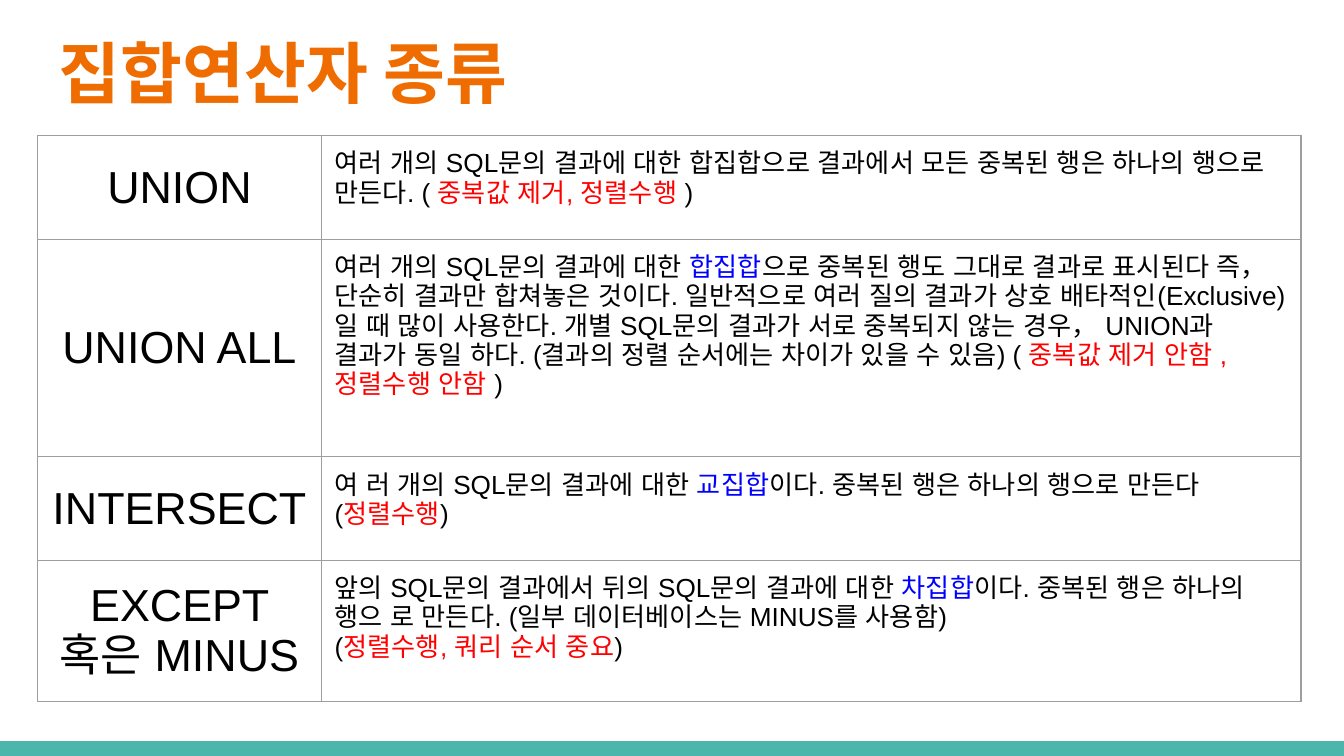
from lxml import etree
from pptx import Presentation
from pptx.dml.color import RGBColor
from pptx.enum.shapes import MSO_SHAPE
from pptx.enum.text import MSO_ANCHOR, PP_ALIGN
from pptx.oxml.ns import qn
from pptx.util import Inches, Pt

COLORS = {
    "title": "EF6C00",
    "footer": "4DB6AC",
    "border": "9E9E9E",
    "text": "000000",
    "set": "0000FF",
    "note": "FF0000",
}
TITLE = "집합연산자 종류"
BREAK = ("\n", "text")
OPERATORS = [
    ("UNION", 0.77, [[
        ("여러 개의 SQL문의 결과에 대한 합집합으로 결과에서 모든 중복된 행은 하나의 행으로 만든다. ( ", "text"),
        ("중복값 제거, 정렬수행", "note"),
        (" )", "text"),
    ]]),
    ("UNION ALL", 1.62, [[
        ("여러 개의 SQL문의 결과에 대한 ", "text"),
        ("합집합", "set"),
        ("으로 중복된 행도 그대로 결과로 표시된다 즉， 단순히 결과만 합쳐놓은 것이다. "
         "일반적으로 여러 질의 결과가 상호 배타적인(Exclusive)일 때 많이 사용한다. "
         "개별 SQL문의 결과가 서로 중복되지 않는 경우， UNION과 결과가 동일 하다. "
         "(결과의 정렬 순서에는 차이가 있을 수 있음) ( ", "text"),
        ("중복값 제거 안함 , 정렬수행 안함", "note"),
        (" )", "text"),
    ]]),
    ("INTERSECT", 0.77, [[
        ("여 러 개의 SQL문의 결과에 대한 ", "text"),
        ("교집합", "set"),
        ("이다. 중복된 행은 하나의 행으로 만든다", "text"),
        BREAK,
        ("(", "text"),
        ("정렬수행", "note"),
        (")", "text"),
    ]]),
    ("EXCEPT 혹은 MINUS", 1.05, [
        [
            ("앞의 SQL문의 결과에서 뒤의 SQL문의 결과에 대한 ", "text"),
            ("차집합", "set"),
            ("이다. 중복된 행은 하나의 행으 로 만든다. (일부 데이터베이스는 MINUS를 사용함)", "text"),
        ],
        [
            ("(", "text"),
            ("정렬수행, 쿼리 순서 중요", "note"),
            (")", "text"),
        ],
    ]),
]
COLUMN_WIDTHS = [2.11, 7.29]
PADDING = Inches(0.1)


def color(name):
    return RGBColor.from_string(COLORS[name])


def pad(area):
    area.margin_left = area.margin_right = PADDING
    area.margin_top = area.margin_bottom = PADDING


def style(paragraph, size, font="Arial"):
    paragraph.font.size = Pt(size)
    paragraph.font.name = font
    latin = paragraph._p.find(".//" + qn("a:latin"))
    east_asian = etree.Element(qn("a:ea"), typeface=font)
    latin.addnext(east_asian)
    east_asian.addnext(etree.Element(qn("a:cs"), typeface=font))


def add_border(cell):
    properties = cell._tc.get_or_add_tcPr()
    for position, side in enumerate(("lnL", "lnR", "lnT", "lnB")):
        line = etree.Element(qn(f"a:{side}"), w=str(Pt(0.75)))
        fill = etree.SubElement(line, qn("a:solidFill"))
        etree.SubElement(fill, qn("a:srgbClr"), val=COLORS["border"])
        properties.insert(position, line)


def write_name(cell, name):
    cell.vertical_anchor = MSO_ANCHOR.MIDDLE
    cell.text = name
    paragraph = cell.text_frame.paragraphs[0]
    paragraph.alignment = PP_ALIGN.CENTER
    style(paragraph, 24)
    paragraph.font.color.rgb = color("text")


def write_description(cell, paragraphs):
    frame = cell.text_frame
    for index, parts in enumerate(paragraphs):
        paragraph = frame.add_paragraph() if index else frame.paragraphs[0]
        style(paragraph, 14)
        for part in parts:
            if part == BREAK:
                paragraph.add_line_break()
                continue
            text, color_name = part
            run = paragraph.add_run()
            run.text = text
            run.font.color.rgb = color(color_name)


deck = Presentation()
deck.slide_width = Inches(10)
deck.slide_height = Inches(10 * 9 / 16)
slide = deck.slides.add_slide(deck.slide_layouts[6])

footer_height = Inches(0.11)
footer = slide.shapes.add_shape(
    MSO_SHAPE.RECTANGLE, 0, deck.slide_height - footer_height,
    deck.slide_width, footer_height)
footer.shadow.inherit = False
footer.fill.solid()
footer.fill.fore_color.rgb = color("footer")
footer.line.fill.background()

title = slide.shapes.add_textbox(
    Inches(0.34), Inches(0.15), Inches(9.32), Inches(0.77)).text_frame
title.word_wrap = True
title.vertical_anchor = MSO_ANCHOR.MIDDLE
pad(title)
title.text = TITLE
heading = title.paragraphs[0]
style(heading, 36, "Roboto Condensed")
heading.font.bold = True
heading.font.color.rgb = color("title")

operators = slide.shapes.add_table(
    len(OPERATORS), len(COLUMN_WIDTHS), Inches(0.28), Inches(1.01),
    Inches(sum(COLUMN_WIDTHS)), Inches(sum(height for _, height, _ in OPERATORS))).table
operators.first_row = operators.horz_banding = False
for column, width in zip(operators.columns, COLUMN_WIDTHS):
    column.width = Inches(width)
for row, (name, height, description) in zip(operators.rows, OPERATORS):
    row.height = Inches(height)
    for cell in row.cells:
        pad(cell)
        cell.fill.background()
        add_border(cell)
    write_name(row.cells[0], name)
    write_description(row.cells[1], description)

deck.save("out.pptx")
